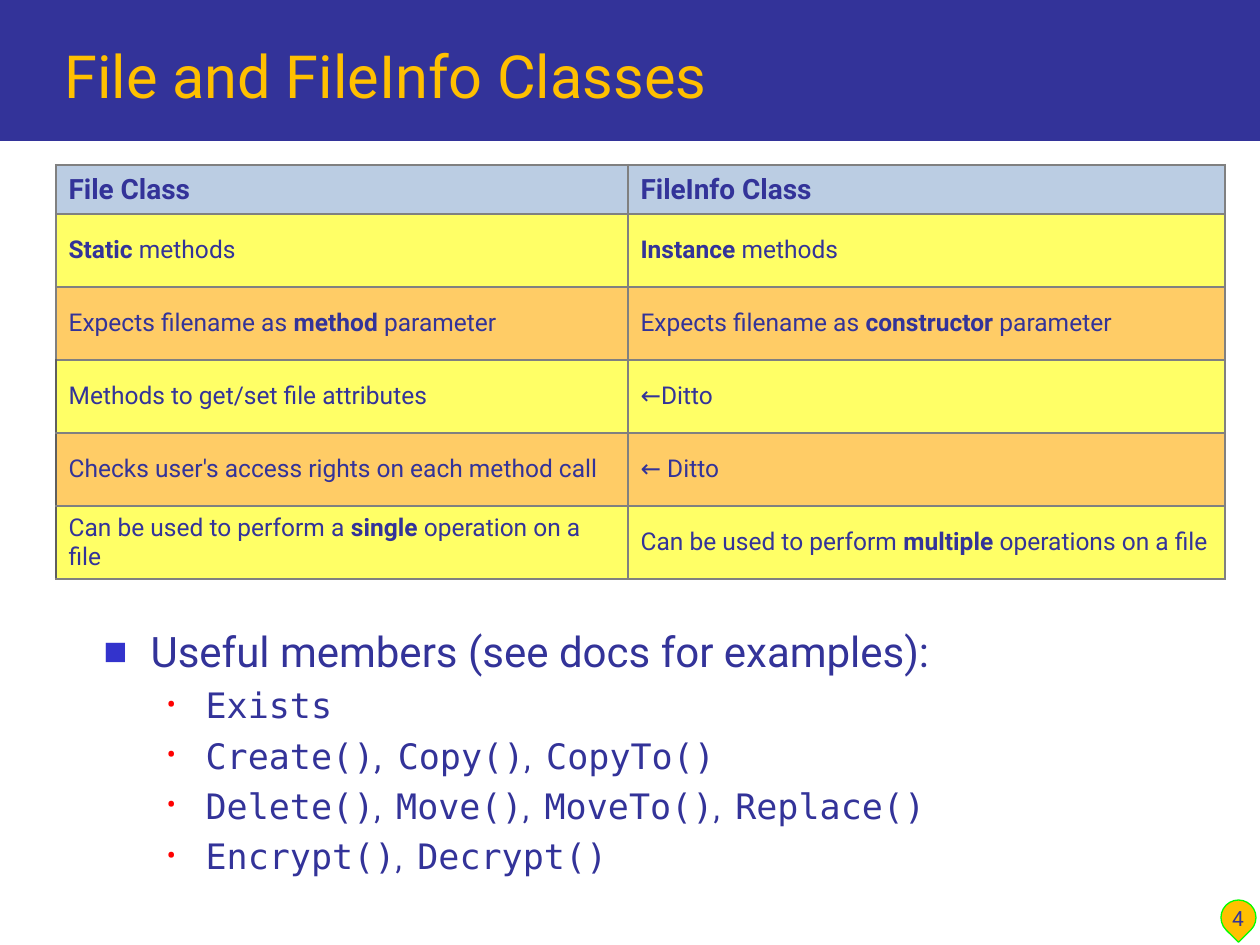
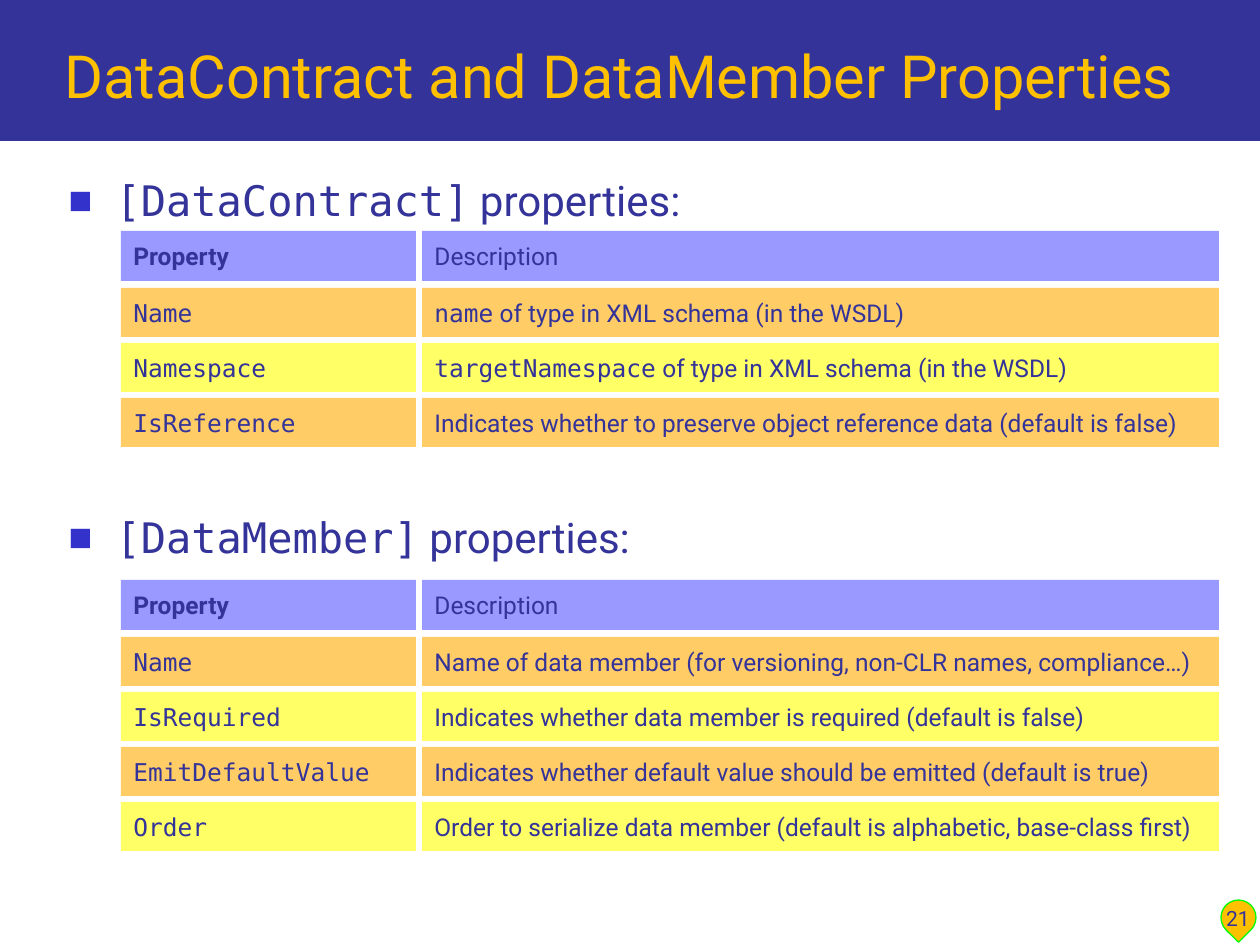
import pptx
import pptx.dml.color
import pptx.enum.shapes
import pptx.enum.text
import pptx.oxml
import pptx.oxml.ns
import pptx.util

PX = 914400 / 126
SANS = "Roboto"
MONO = "DejaVu Sans Mono"
NAVY = "333399"
GOLD = "FFC000"
ORANGE = "FFCC66"
YELLOW = "FFFF66"
HEADER_BLUE = "BBCDE3"
HEADER_VIOLET = "9999FF"
GRAY = "808080"
DARK_GRAY = "5F5F5F"
SHAPES = pptx.enum.shapes.MSO_SHAPE
ANCHOR = pptx.enum.text.MSO_ANCHOR
ALIGN = pptx.enum.text.PP_ALIGN


def px(length):
    return pptx.util.Emu(round(length * PX))


def color(value):
    return pptx.dml.color.RGBColor.from_string(value)


def place(shape, left, top, width, height):
    shape.left, shape.top = px(left), px(top)
    shape.width, shape.height = px(width), px(height)


def add_run(paragraph, text, size, font=SANS, bold=False, ink=NAVY, spacing=0):
    run = paragraph.add_run()
    run.text = text
    run.font.name = font
    run.font.size = pptx.util.Pt(size)
    run.font.bold = bold
    run.font.color.rgb = color(ink)
    if spacing:
        run.font._element.set("spc", str(spacing))


def add_element(parent, tag, **attributes):
    element = pptx.oxml.ns.qn("a:" + tag)
    child = parent.makeelement(element, attributes)
    parent.append(child)
    return child


def set_bullet(paragraph, character, margin=0, hanging=0, ink=None, percent=100):
    properties = paragraph._p.get_or_add_pPr()
    properties.set("marL", str(px(margin)))
    properties.set("indent", str(-px(hanging)))
    if ink:
        bullet_color = add_element(properties, "buClr")
        add_element(bullet_color, "srgbClr", val=ink)
    add_element(properties, "buSzPct", val=str(percent * 1000))
    add_element(properties, "buFont", typeface=SANS)
    add_element(properties, "buChar", char=character)


def add_block(shapes, kind, box, fill, line=None):
    shape = shapes.add_shape(kind, *map(px, box))
    shape.shadow.inherit = False
    shape.fill.solid()
    shape.fill.fore_color.rgb = color(fill)
    if line:
        shape.line.color.rgb = color(line)
        shape.line.width = pptx.util.Pt(0.75)
    else:
        shape.line.fill.background()
    return shape


def decorate_master(presentation, slide):
    band = add_block(slide.shapes, SHAPES.RECTANGLE, (0, 0, 1260, 141), NAVY)
    badge = add_block(slide.shapes, SHAPES.TEAR, (1221, 900, 35, 35), GOLD, "00FF00")
    badge.rotation = 135
    master_tree = presentation.slide_master.shapes.element
    for position, shape in enumerate((band, badge), start=2):
        master_tree.insert(position, shape.element)


def add_title(slide, text):
    title = slide.shapes.title
    place(title, 52, 21, 1178, 96)
    frame = title.text_frame
    frame.auto_size = pptx.enum.text.MSO_AUTO_SIZE.NONE
    frame.vertical_anchor = ANCHOR.BOTTOM
    paragraph = frame.paragraphs[0]
    paragraph.alignment = ALIGN.LEFT
    add_run(paragraph, text, 34, ink=GOLD)


def add_number(slide, number):
    box = slide.shapes.add_textbox(px(1202), px(874), px(72), px(63))
    frame = box.text_frame
    frame.word_wrap = True
    frame.vertical_anchor = ANCHOR.BOTTOM
    paragraph = frame.paragraphs[0]
    paragraph.alignment = ALIGN.CENTER
    add_run(paragraph, str(number), 12)


def start_slide(presentation, title, number):
    slide = presentation.slides.add_slide(presentation.slide_layouts[1])
    add_title(slide, title)
    add_number(slide, number)
    return slide


def fill_body(slide, box, items):
    body = slide.placeholders[1]
    place(body, *box)
    frame = body.text_frame
    frame.auto_size = pptx.enum.text.MSO_AUTO_SIZE.NONE
    for index, (level, space, runs) in enumerate(items):
        paragraph = frame.add_paragraph() if index else frame.paragraphs[0]
        paragraph.level = level
        if level:
            set_bullet(paragraph, "•", 102, 39, "FF0000", 80)
        else:
            set_bullet(paragraph, "■", 47, 47, "3333CC", 60)
        paragraph.space_before = pptx.util.Pt(space)
        for run in runs:
            add_run(paragraph, *run)


def set_borders(cell, left):
    properties = cell._tc.get_or_add_tcPr()
    for tag, ink in (("lnL", left), ("lnR", GRAY), ("lnT", GRAY), ("lnB", GRAY)):
        line = add_element(properties, tag, w=str(pptx.util.Pt(1.5)))
        fill = add_element(line, "solidFill")
        add_element(fill, "srgbClr", val=ink)


def add_comparison_table(slide, rows):
    widths, heights = (572, 597), [49] + [73] * (len(rows) - 1)
    box = map(px, (56, 165, sum(widths), sum(heights)))
    table = slide.shapes.add_table(len(rows), len(widths), *box).table
    table.first_row = table.horz_banding = False
    for column, width in zip(table.columns, widths):
        column.width = px(width)
    for index, (row, height, texts) in enumerate(zip(table.rows, heights, rows)):
        row.height = px(height)
        fill = (ORANGE, YELLOW)[index % 2] if index else HEADER_BLUE
        for column, runs in enumerate(texts):
            cell = row.cells[column]
            set_borders(cell, DARK_GRAY if index > 2 and column == 0 else GRAY)
            cell.fill.solid()
            cell.fill.fore_color.rgb = color(fill)
            cell.vertical_anchor = ANCHOR.MIDDLE
            for text, bold in runs:
                add_run(cell.text_frame.paragraphs[0], text, 14 if index else 16, bold=bold)
    return table


def add_property_cell(slide, box, fill, runs):
    cell = add_block(slide.shapes, SHAPES.RECTANGLE, box, fill)
    frame = cell.text_frame
    frame.word_wrap = True
    frame.vertical_anchor = ANCHOR.MIDDLE
    paragraph = frame.paragraphs[0]
    paragraph.alignment = ALIGN.LEFT
    for text, font, bold in runs:
        add_run(paragraph, text, 14, font, bold)


def add_property_grid(slide, top, properties):
    header = ([("Property", SANS, True)], [("Description", SANS, False)])
    rows = [header]
    for name, code, description in properties:
        words = [(code, MONO, False)] if code else []
        rows.append(([(name, MONO, False)], words + [(description, SANS, False)]))
    for index, row in enumerate(rows):
        fill = (YELLOW, ORANGE)[index % 2] if index else HEADER_VIOLET
        row_top = top + 2 + 55 * index if index else top
        height = 49 if index else 50
        for (left, width), runs in zip(((121, 295), (422, 797)), row):
            add_property_cell(slide, (left, row_top, width, height), fill, runs)


def member_runs(names, separator_sizes):
    runs = [(names[0], 20, MONO)]
    for name, size in zip(names[1:], separator_sizes):
        runs += [(", ", size, SANS, False, NAVY, 220), (name, 20, MONO)]
    return runs


def build_file_slide(presentation):
    slide = start_slide(presentation, "File and FileInfo Classes", 4)
    table = add_comparison_table(slide, [
        ([("File Class", True)], [("FileInfo Class", True)]),
        ([("Static", True), (" methods", False)],
         [("Instance", True), (" methods", False)]),
        ([("Expects filename as ", False), ("method", True), (" parameter", False)],
         [("Expects filename as ", False), ("constructor", True), (" parameter", False)]),
        ([("Methods to get/set file attributes", False)], [("Ditto", False)]),
        ([("Checks user's access rights on each method call", False)], [("← Ditto", False)]),
        ([("Can be used to perform a ", False), ("single", True),
          (" operation on a file", False)],
         [("Can be used to perform ", False), ("multiple", True),
          (" operations on a file", False)]),
    ])
    set_bullet(table.cell(3, 1).text_frame.paragraphs[0], "←")
    members = [
        (["Exists"], []),
        (["Create()", "Copy()", "CopyTo()"], [20, 18]),
        (["Delete()", "Move()", "MoveTo()", "Replace()"], [18, 18, 18]),
        (["Encrypt()", "Decrypt()"], [18]),
    ]
    heading = (0, 0, [("Useful members (see docs for examples):", 24)])
    fill_body(slide, (91, 619, 1169, 270),
              [heading] + [(1, 4.7, member_runs(*member)) for member in members])
    return slide


def build_properties_slide(presentation):
    slide = start_slide(presentation, "DataContract and DataMember Properties", 21)
    fill_body(slide, (56, 168, 1169, 420), [
        (0, space, [(name, 24, MONO), (" properties:", 24)])
        for name, space in (("[DataContract]", 0), ("[DataMember]", 164))
    ])
    add_property_grid(slide, 231, [
        ("Name", "name", " of type in XML schema (in the WSDL)"),
        ("Namespace", "targetNamespace", " of type in XML schema (in the WSDL)"),
        ("IsReference", "",
         "Indicates whether to preserve object reference data (default is false)"),
    ])
    add_property_grid(slide, 580, [
        ("Name", "", "Name of data member (for versioning, non-CLR names, compliance…)"),
        ("IsRequired", "", "Indicates whether data member is required (default is false)"),
        ("EmitDefaultValue", "",
         "Indicates whether default value should be emitted (default is true)"),
        ("Order", "",
         "Order to serialize data member (default is alphabetic, base-class first)"),
    ])


def main():
    presentation = pptx.Presentation()
    presentation.slide_width, presentation.slide_height = px(1260), px(945)
    file_slide = build_file_slide(presentation)
    build_properties_slide(presentation)
    decorate_master(presentation, file_slide)
    presentation.save("out.pptx")


if __name__ == "__main__":
    main()
